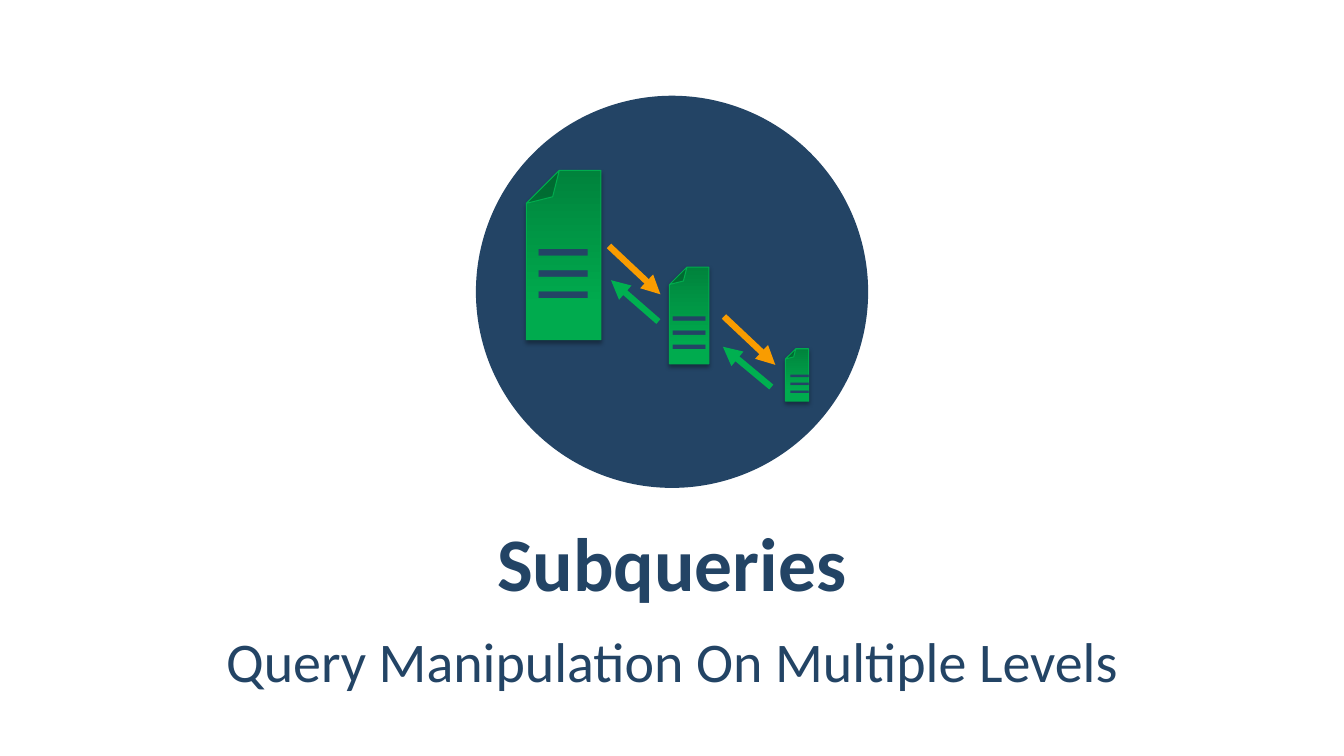
"""Build the Subqueries section slide."""
from lxml import etree
from pptx import Presentation
from pptx.dml.color import RGBColor
from pptx.enum.shapes import MSO_CONNECTOR, MSO_SHAPE
from pptx.enum.text import MSO_ANCHOR, MSO_AUTO_SIZE, PP_ALIGN
from pptx.oxml import parse_xml
from pptx.oxml.ns import nsdecls, qn
from pptx.util import Inches, Pt

ELLIPSE, FOLDED_CORNER = MSO_SHAPE.OVAL, MSO_SHAPE.FOLDED_CORNER
STRAIGHT, CENTER = MSO_CONNECTOR.STRAIGHT, PP_ALIGN.CENTER
TOP, MIDDLE = MSO_ANCHOR.TOP, MSO_ANCHOR.MIDDLE
GROW = MSO_AUTO_SIZE.SHAPE_TO_FIT_TEXT

COLORS = {"navy": "234465", "page_dark": "00833C", "page_light": "00AB4E",
          "page_line": "00AC4E", "query": "F99C00", "result": "00B050"}
TEXT_FONT, SYMBOL_FONT = "Calibri", "Noto Sans Mono"
WIDTH, HEIGHT = 13.33, 7.5
CIRCLE_SIZE, CIRCLE_TOP = 3.89, 0.95
HEADING_WIDTH, HEADING_HEIGHT = 11.99, 0.84

HEADINGS = [("Subqueries", 5.15, 54, True),
            ("Query Manipulation On Multiple Levels", 6.11, 40, False)]
PAGES = [
    {"page": (6.64, 2.65, 0.39, 0.96), "lines": (6.52, 2.97, 0.63, 0.64), "size": 32},
    {"page": (7.79, 3.46, 0.23, 0.52), "lines": (7.72, 3.61, 0.37, 0.4), "size": 18},
    {"page": (5.22, 1.69, 0.74, 1.68), "lines": (5, 2.25, 1.18, 0.91), "size": 48},
]
ARROWS = [("query", 7.18, 3.14, 7.69, 3.62), ("query", 6.04, 2.44, 6.55, 2.92),
          ("result", 7.65, 3.84, 7.17, 3.44), ("result", 6.53, 3.19, 6.06, 2.78)]
SHADOW = (f'<a:outerShdw {nsdecls("a")} blurRad="{Pt(3.1)}" dist="{Pt(1.8)}" dir="5400000" '
          'rotWithShape="0"><a:srgbClr val="000000"><a:alpha val="35000"/></a:srgbClr>'
          '</a:outerShdw>')


def color(name):
    return RGBColor.from_string(COLORS[name])


def add_text(slide, text, box, font_name, size, bold, anchor):
    shape = slide.shapes.add_textbox(*map(Inches, box))
    frame = shape.text_frame
    frame.word_wrap = True
    frame.vertical_anchor = anchor
    frame.text = text
    paragraph = frame.paragraphs[0]
    paragraph.alignment = CENTER
    font = paragraph.runs[0].font
    font.name, font.size, font.bold = font_name, Pt(size), bold
    font.color.rgb = color("navy")
    return frame


def add_circle(slide):
    left = (WIDTH - CIRCLE_SIZE) / 2
    circle = slide.shapes.add_shape(
        ELLIPSE, *map(Inches, (left, CIRCLE_TOP, CIRCLE_SIZE, CIRCLE_SIZE)))
    circle.shadow.inherit = False
    circle.fill.solid()
    circle.fill.fore_color.rgb = color("navy")
    circle.line.fill.background()


def add_page(slide, page, lines, size):
    sheet = slide.shapes.add_shape(FOLDED_CORNER, *map(Inches, page))
    sheet.rotation = 180
    properties = sheet._element.spPr
    guides = next(properties.iter(qn("a:avLst")))
    etree.SubElement(guides, qn("a:gd"), name="adj", fmla="val 44200")
    sheet.fill.gradient()
    sheet.fill.gradient_angle = 90
    stops = zip(sheet.fill.gradient_stops, ("page_dark", "page_light"), (0, 0.8))
    for stop, name, position in stops:
        stop.color.rgb = color(name)
        stop.position = position
    sheet.line.color.rgb = color("page_line")
    sheet.line.width = Pt(0.75)
    sheet.shadow.inherit = False
    properties.find(qn("a:effectLst")).append(parse_xml(SHADOW))
    frame = add_text(slide, "☰", lines, SYMBOL_FONT, size, True, TOP)
    frame.auto_size = GROW


def add_arrow(slide, name, *ends):
    arrow = slide.shapes.add_connector(STRAIGHT, *map(Inches, ends))
    arrow.line.color.rgb = color(name)
    arrow.line.width = Pt(4.5)
    etree.SubElement(arrow.line._get_or_add_ln(), qn("a:tailEnd"), type="triangle")
    etree.SubElement(arrow._element.spPr, qn("a:effectLst"))


def add_heading(slide, text, top, size, bold):
    box = ((WIDTH - HEADING_WIDTH) / 2, top, HEADING_WIDTH, HEADING_HEIGHT)
    frame = add_text(slide, text, box, TEXT_FONT, size, bold, MIDDLE)
    frame.margin_left = frame.margin_right = Inches(0.12)
    frame.margin_top = frame.margin_bottom = Inches(0.04)
    return frame.paragraphs[0]


presentation = Presentation()
presentation.slide_width, presentation.slide_height = Inches(WIDTH), Inches(HEIGHT)
slide = presentation.slides.add_slide(presentation.slide_layouts[6])
add_circle(slide)
for page in PAGES:
    add_page(slide, **page)
for arrow in ARROWS:
    add_arrow(slide, *arrow)
title, subtitle = [add_heading(slide, *heading) for heading in HEADINGS]
subtitle.line_spacing = 1.05
subtitle.space_before = subtitle.space_after = Pt(6)
presentation.save("out.pptx")
